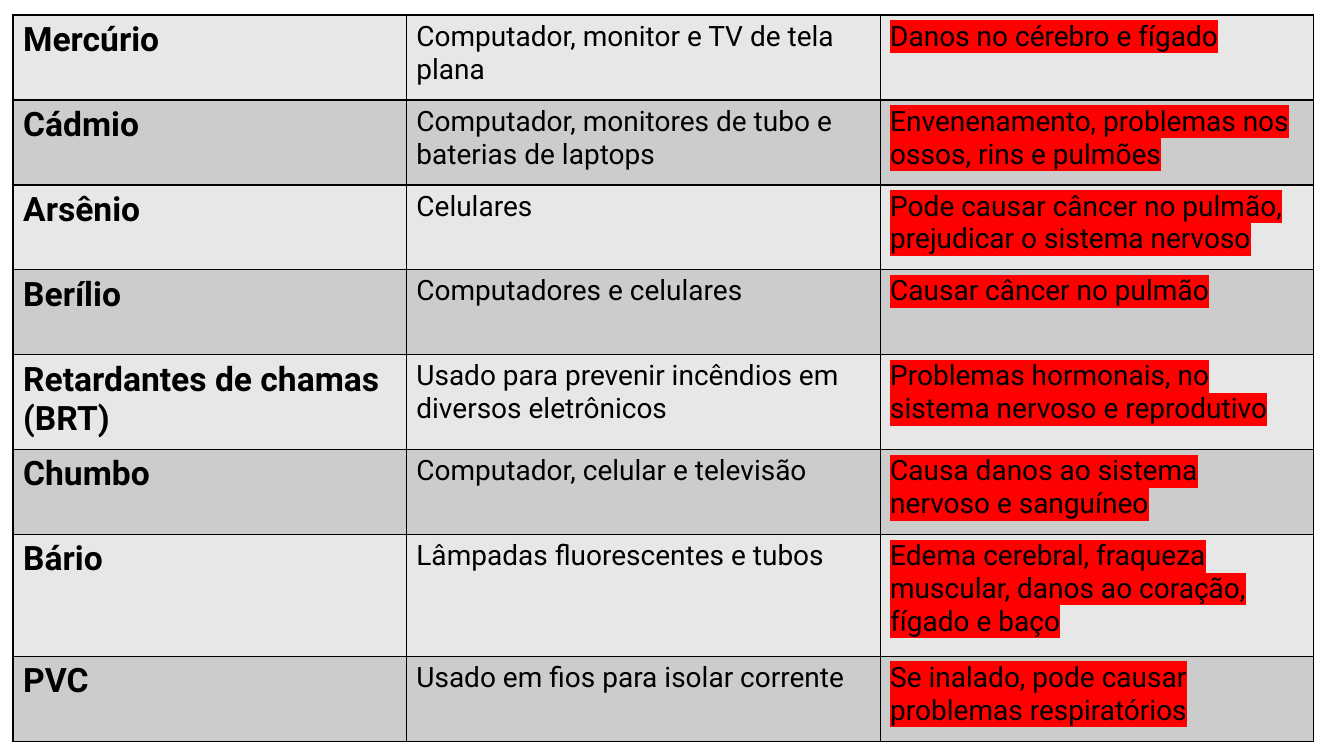
from dataclasses import dataclass

from lxml import etree
from pptx import Presentation
from pptx.dml.color import RGBColor
from pptx.oxml.ns import qn
from pptx.util import Cm, Pt


@dataclass(frozen=True)
class Theme:
    font: str = "Roboto"
    text: str = "000000"
    border: str = "000000"
    highlight: str = "FF0000"
    bands: tuple[str, str] = ("E7E7E7", "CCCCCC")
    name_size: int = 24
    body_size: int = 20
    border_width: float = 1
    outline_width: float = 0.75


@dataclass(frozen=True)
class Substance:
    name: str
    found_in: str
    harm: str
    height: float = 2.14


THEME = Theme()
COLUMN_WIDTHS = (9.91, 11.94, 10.92)
BORDER_SIDES = ("a:lnL", "a:lnR", "a:lnT", "a:lnB")
SUBSTANCES = (
    Substance("Mercúrio", "Computador, monitor e TV de tela plana",
              "Danos no cérebro e fígado"),
    Substance("Cádmio", "Computador, monitores de tubo e baterias de laptops",
              "Envenenamento, problemas nos ossos, rins e pulmões"),
    Substance("Arsênio", "Celulares",
              "Pode causar câncer no pulmão, prejudicar o sistema nervoso"),
    Substance("Berílio", "Computadores e celulares", "Causar câncer no pulmão"),
    Substance("Retardantes de chamas (BRT)",
              "Usado para prevenir incêndios em diversos eletrônicos",
              "Problemas hormonais, no sistema nervoso e reprodutivo", 2.39),
    Substance("Chumbo", "Computador, celular e televisão",
              "Causa danos ao sistema nervoso e sanguíneo"),
    Substance("Bário", "Lâmpadas fluorescentes e tubos",
              "Edema cerebral, fraqueza muscular, danos ao coração, fígado e baço", 3.07),
    Substance("PVC", "Usado em fios para isolar corrente",
              "Se inalado, pode causar problemas respiratórios"),
)


def add_color(parent, tag: str, color: str) -> None:
    """Append a colour-holding element such as a:solidFill or a:highlight."""
    holder = etree.SubElement(parent, qn(tag))
    etree.SubElement(holder, qn("a:srgbClr")).set("val", color)


def make_line(tag: str, width: float, color: str):
    line = etree.Element(qn(tag))
    line.set("w", str(Pt(width)))
    add_color(line, "a:solidFill", color)
    return line


def style_cell(cell, band: str) -> None:
    cell.fill.solid()
    cell.fill.fore_color.rgb = RGBColor.from_string(band)
    properties = cell._tc.get_or_add_tcPr()
    for position, side in enumerate(BORDER_SIDES):
        properties.insert(position, make_line(side, THEME.border_width, THEME.border))


def write_cell(cell, text: str, size: int, bold: bool, highlighted: bool) -> None:
    paragraph = cell.text_frame.paragraphs[0]
    run = paragraph.add_run()
    run.text = text
    font = paragraph.font
    font.name, font.size, font.bold = THEME.font, Pt(size), bold
    font.color.rgb = RGBColor.from_string(THEME.text)
    # Thin outline around the letters
    defaults = paragraph._p.find(qn("a:pPr")).find(qn("a:defRPr"))
    defaults.insert(0, make_line("a:ln", THEME.outline_width, THEME.text))
    if highlighted:
        add_color(run._r.get_or_add_rPr(), "a:highlight", THEME.highlight)


def add_substance_table(slide) -> None:
    table = slide.shapes.add_table(
        len(SUBSTANCES), len(COLUMN_WIDTHS), Cm(0.33), Cm(0.38),
        Cm(sum(COLUMN_WIDTHS)), Cm(sum(s.height for s in SUBSTANCES))).table
    table.first_row = table.horz_banding = False
    for column, width in zip(table.columns, COLUMN_WIDTHS):
        column.width = Cm(width)

    # One row per substance, in alternating greys
    for index, (row, substance) in enumerate(zip(table.rows, SUBSTANCES)):
        row.height = Cm(substance.height)
        name, found_in, harm = row.cells
        write_cell(name, substance.name, THEME.name_size, True, False)
        write_cell(found_in, substance.found_in, THEME.body_size, False, False)
        write_cell(harm, substance.harm, THEME.body_size, False, True)
        for cell in (name, found_in, harm):
            style_cell(cell, THEME.bands[index % 2])


def main() -> None:
    presentation = Presentation()
    presentation.slide_width, presentation.slide_height = Cm(33.87), Cm(19.05)
    add_substance_table(presentation.slides.add_slide(presentation.slide_layouts[6]))
    presentation.save("out.pptx")


if __name__ == "__main__":
    main()
